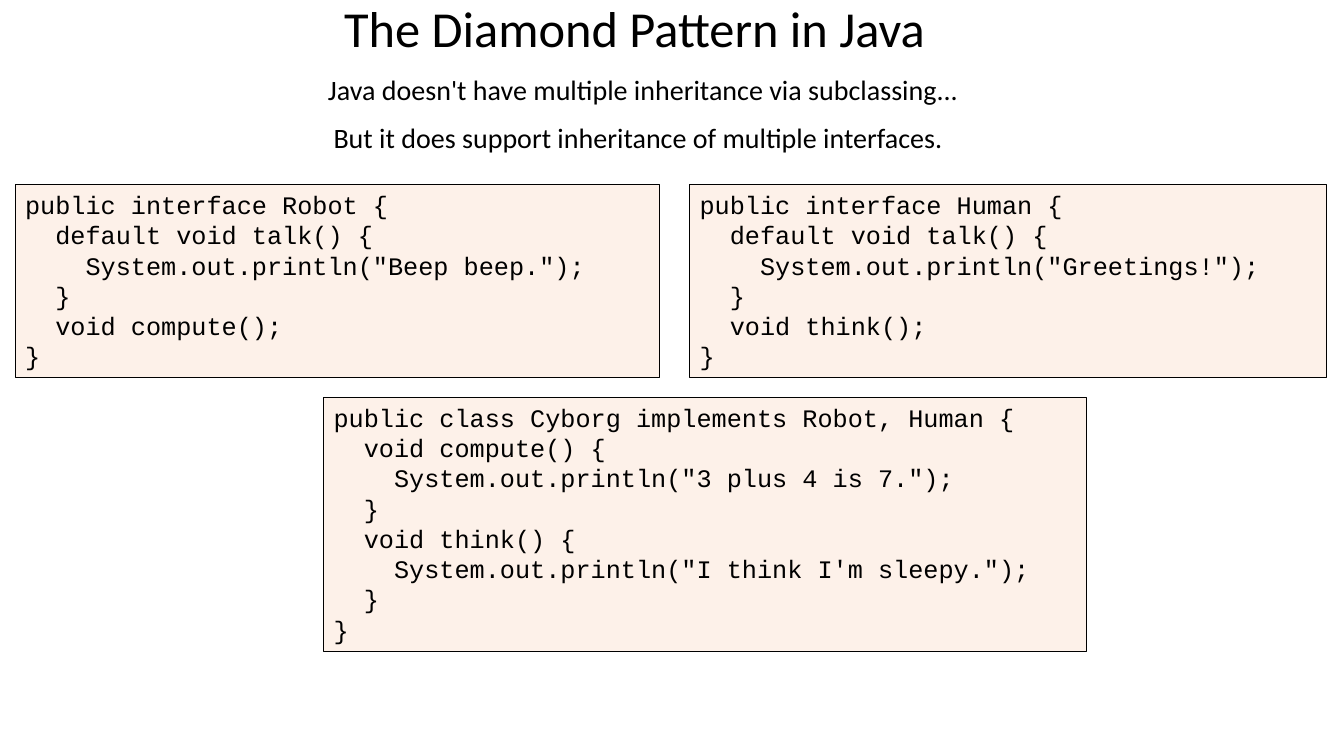
"""Build a slide on the diamond pattern with Java interfaces."""
from pptx import Presentation, util as u
from pptx.dml.color import RGBColor
from pptx.enum import shapes, text

WIDTH, HEIGHT = 13.33, 7.5
MARGIN, GAP = 0.15, 0.3
CODE_TOP, LINE_HEIGHT, PADDING = 1.83, 0.3, 0.12
CYBORG_LEFT = 3.21

presentation = Presentation()
presentation.slide_width = u.Inches(WIDTH)
presentation.slide_height = u.Inches(HEIGHT)
slide = presentation.slides.add_slide(presentation.slide_layouts[5])


def color(value):
    return RGBColor.from_string(value)


def write(shape, lines, size, font_name, alignment):
    frame = shape.text_frame
    frame.word_wrap = True
    frame.auto_size = text.MSO_AUTO_SIZE.NONE
    frame.vertical_anchor = text.MSO_ANCHOR.TOP
    frame.text = lines
    for paragraph in frame.paragraphs:
        paragraph.alignment = alignment
        paragraph.font.size = u.Pt(size)
        paragraph.font.name = font_name
        paragraph.font.color.rgb = color("000000")


title = slide.shapes.title
title.left, title.top = u.Inches(0.49), u.Inches(-0.08)
title.width, title.height = u.Inches(11.61), u.Inches(0.71)
write(title, "The Diamond Pattern in Java", 36, "Calibri", text.PP_ALIGN.CENTER)

statements = [
    (0.2, 0.67, 12.36, text.PP_ALIGN.CENTER,
     "Java doesn't have multiple inheritance via subclassing..."),
    (CYBORG_LEFT, 1.15, 6.67, text.PP_ALIGN.LEFT,
     "But it does support inheritance of multiple interfaces."),
]
for left, top, width, alignment, statement in statements:
    box = slide.shapes.add_textbox(*map(u.Inches, (left, top, width, 0.44)))
    write(box, statement, 20, "Calibri", alignment)

robot_code = """public interface Robot {
  default void talk() {
    System.out.println("Beep beep.");
  }
  void compute();
}"""
human_code = """public interface Human {
  default void talk() {
    System.out.println("Greetings!");
  }
  void think();
}"""
cyborg_code = """public class Cyborg implements Robot, Human {
  void compute() {
    System.out.println("3 plus 4 is 7.");
  }
  void think() {
    System.out.println("I think I'm sleepy.");
  }
}"""

robot_width = 6.39
human_left = MARGIN + robot_width + GAP
listings = [
    (CYBORG_LEFT, 3.94, 7.57, cyborg_code),
    (MARGIN, CODE_TOP, robot_width, robot_code),
    (human_left, CODE_TOP, 6.32, human_code),
]
for left, top, width, code in listings:
    height = len(code.splitlines()) * LINE_HEIGHT + PADDING
    panel = slide.shapes.add_shape(
        shapes.MSO_SHAPE.RECTANGLE, *map(u.Inches, (left, top, width, height)))
    panel.shadow.inherit = False
    panel.fill.solid()
    panel.fill.fore_color.rgb = color("FDF1E9")
    panel.line.color.rgb = color("000000")
    panel.line.width = u.Pt(0.75)
    write(panel, code, 18, "Courier New", text.PP_ALIGN.LEFT)

presentation.save("out.pptx")
